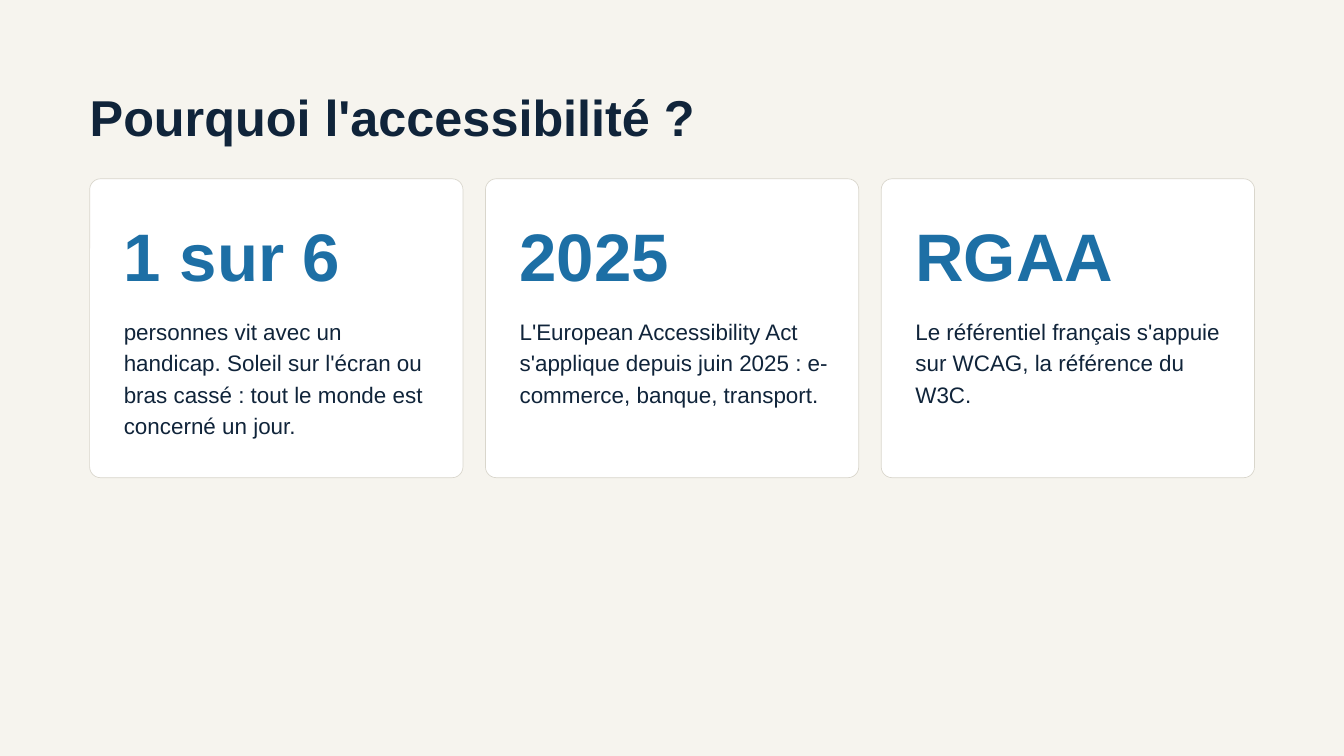
from pptx import Presentation
from pptx import util as u
from pptx.dml import color
from pptx.enum import shapes, text

FONT = "Arial"
INK, ACCENT, PAPER, WHITE, BORDER = "10243A", "1D6FA5", "F6F4EE", "FFFFFF", "D9D6CC"

MARGIN = 3.39
CARD_TOP, CARD_WIDTH, CARD_HEIGHT, CARD_GAP = 6.76, 14.11, 11.3, 0.85
CARD_RADIUS, CARD_PADDING = 0.41, 1.29
TEXT_WIDTH = 11.88

CARDS = [
    ("1 sur 6", "personnes vit avec un handicap. Soleil sur l'écran ou bras cassé : "
                "tout le monde est concerné un jour."),
    ("2025", "L'European Accessibility Act s'applique depuis juin 2025 : "
             "e-commerce, banque, transport."),
    ("RGAA", "Le référentiel français s'appuie sur WCAG, la référence du W3C."),
]


def rgb(value):
    return color.RGBColor.from_string(value)


class CardPage:
    """Holds the style and the current slide."""

    def __init__(self, deck):
        self.page = deck.slides.add_slide(deck.slide_layouts[5])
        fill = self.page.background.fill
        fill.solid()
        fill.fore_color.rgb = rgb(PAPER)

    def set_text(self, box, content, size, spacing, ink, bold=False):
        frame = box.text_frame
        frame.text = content
        frame.word_wrap = True
        frame.auto_size = text.MSO_AUTO_SIZE.NONE
        frame.vertical_anchor = text.MSO_ANCHOR.TOP
        frame.margin_left = frame.margin_right = 0
        frame.margin_top = frame.margin_bottom = 0
        para = frame.paragraphs[0]
        para.alignment = text.PP_ALIGN.LEFT
        para.line_spacing = u.Pt(spacing)
        font = para.runs[0].font
        font.name, font.size, font.bold = FONT, u.Pt(size), bold
        font.color.rgb = rgb(ink)

    def title(self, content):
        box = self.page.shapes.title
        box.left, box.top = u.Cm(MARGIN), u.Cm(3.43)
        box.width, box.height = u.Cm(45.34), u.Cm(2.16)
        self.set_text(box, content, 54, 59.4, INK, bold=True)

    def label(self, left, top, height, content, *style, bold=False):
        box = self.page.shapes.add_textbox(
            u.Cm(left), u.Cm(top), u.Cm(TEXT_WIDTH), u.Cm(height))
        self.set_text(box, content, *style, bold=bold)

    def card(self, left, figure, detail):
        panel = self.page.shapes.add_shape(
            shapes.MSO_SHAPE.ROUNDED_RECTANGLE,
            u.Cm(left), u.Cm(CARD_TOP), u.Cm(CARD_WIDTH), u.Cm(CARD_HEIGHT))
        panel.adjustments[0] = CARD_RADIUS / CARD_HEIGHT
        panel.shadow.inherit = False
        panel.fill.solid()
        panel.fill.fore_color.rgb = rgb(WHITE)
        panel.line.color.rgb = rgb(BORDER)
        panel.line.width = u.Pt(0.75)
        inner_left = left + CARD_PADDING
        self.label(inner_left, 7.59, 4.11, figure, 72, 100.8, ACCENT, bold=True)
        self.label(inner_left, 11.86, 5, detail, 24, 33.6, INK)


def main():
    deck = Presentation()
    deck.slide_width, deck.slide_height = u.Cm(50.8), u.Cm(28.58)
    page = CardPage(deck)
    page.title("Pourquoi l'accessibilité ?")
    for index, (figure, detail) in enumerate(CARDS):
        page.card(MARGIN + index * (CARD_WIDTH + CARD_GAP), figure, detail)
    deck.save("out.pptx")


if __name__ == "__main__":
    main()
